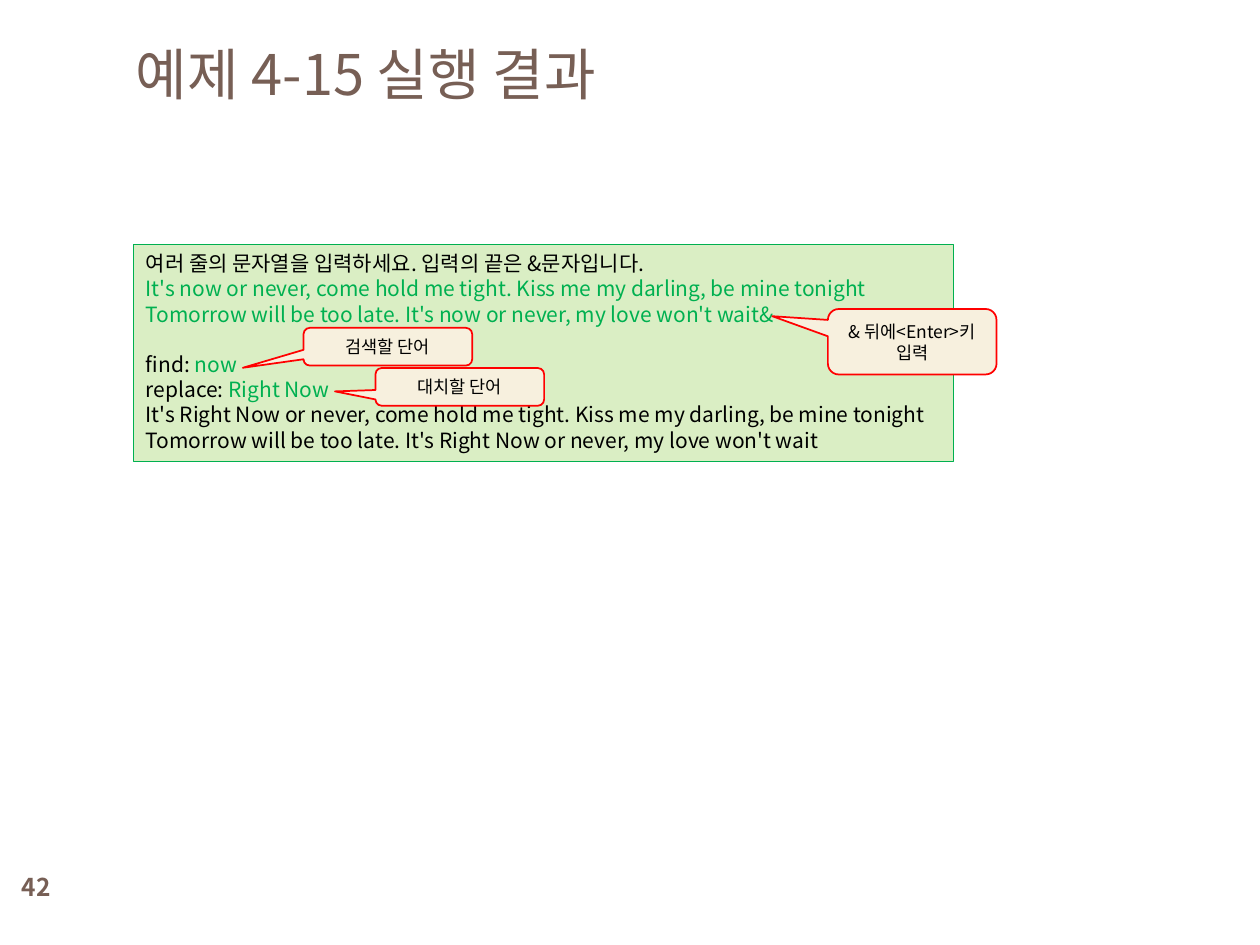
import pptx
import pptx.dml.color
import pptx.enum.shapes
import pptx.enum.text
import pptx.oxml.ns
import pptx.util
from lxml import etree

Cm, Pt = pptx.util.Cm, pptx.util.Pt
Align, Anchor = pptx.enum.text.PP_ALIGN, pptx.enum.text.MSO_ANCHOR
Kind = pptx.enum.shapes.MSO_SHAPE
FACE = "Noto Sans CJK KR"
HUES = {"brown": "775F55", "ink": "000000", "green": "00B050",
        "mint": "DAEEC4", "cream": "F7F0DE", "red": "FF0000"}
LINES = [
    [("여러 줄의 문자열을 입력하세요. 입력의 끝은 &문자입니다.", "ink")],
    [("It's now or never, come hold me tight. Kiss me my darling, be mine tonight", "green")],
    [("Tomorrow will be too late. It's now or never, my love won't wait&", "green")],
    [("find: ", "ink"), ("now", "green")],
    [("replace: ", "ink"), ("Right Now", "green")],
    [("It's Right Now or never, come hold me tight. Kiss me my darling, be mine tonight", "ink")],
    [("Tomorrow will be too late. It's Right Now or never, my love won't wait", "ink")],
]
GAP_LINE = 3
NOTES = [
    ("& 뒤에<Enter>키 입력", (14, 1.3, 3.4, 1.32), (-0.83, -0.39)),
    ("검색할 단어", (3.43, 1.68, 3.4, 0.76), (-0.86, 0.56)),
    ("대치할 단어", (4.88, 2.49, 3.4, 0.76), (-0.74, 0.12)),
]


def tint(hue):
    """Return the named colour."""
    return pptx.dml.color.RGBColor.from_string(HUES[hue])


def style(para, size, hue=None, bold=False, align=Align.LEFT):
    """Set the font and alignment of a paragraph."""
    para.alignment = align
    font = para.font
    font.size, font.bold, font.name = Pt(size), bold, FACE
    if hue:
        font.color.rgb = tint(hue)
    etree.SubElement(font._element, pptx.oxml.ns.qn("a:ea"), typeface=FACE)


def panel(slide, kind, box, fill, line, width):
    """Add a filled and outlined shape without a shadow."""
    shape = slide.shapes.add_shape(kind, *map(Cm, box))
    shape.shadow.inherit = False
    shape.fill.solid()
    shape.fill.fore_color.rgb = tint(fill)
    shape.line.color.rgb = tint(line)
    shape.line.width = Pt(width)
    shape.text_frame.word_wrap = True
    return shape


def label(slide, box, text, size, **looks):
    """Add a text box with one brown paragraph."""
    frame = slide.shapes.add_textbox(*map(Cm, box)).text_frame
    frame.word_wrap = True
    frame.vertical_anchor = Anchor.MIDDLE
    frame.text = text
    style(frame.paragraphs[0], size, "brown", **looks)


def note(slide, box, text, tip):
    """Add a callout that points at its tip."""
    shape = panel(slide, Kind.ROUNDED_RECTANGULAR_CALLOUT, box, "cream", "red", 1)
    shape.adjustments[0], shape.adjustments[1] = tip
    frame = shape.text_frame
    frame.vertical_anchor = Anchor.MIDDLE
    frame.text = text
    style(frame.paragraphs[0], 10, "ink", align=Align.CENTER)


def console(slide, box):
    """Add the program output and its callouts."""
    left, top = box[:2]
    frame = panel(slide, Kind.RECTANGLE, box, "mint", "green", 0.75).text_frame
    frame.vertical_anchor = Anchor.TOP
    for row, parts in enumerate(LINES):
        para = frame.add_paragraph() if row else frame.paragraphs[0]
        if row == GAP_LINE:
            para.space_before = Pt(14.4)
        same = len(parts) == 1
        style(para, 12, parts[0][1] if same else None)
        for text, hue in parts:
            run = para.add_run()
            run.text = text
            if not same:
                run.font.color.rgb = tint(hue)
    for text, (x, y, wide, high), tip in NOTES:
        note(slide, (left + x, top + y, wide, high), text, tip)


def main():
    """Build and save the slide."""
    deck = pptx.Presentation()
    deck.slide_width, deck.slide_height = Cm(25.4), Cm(19.05)
    slide = deck.slides.add_slide(deck.slide_layouts[6])
    label(slide, (0, 17.35, 1.47, 1.07), "42", 14, bold=True, align=Align.CENTER)
    console(slide, (2.69, 4.93, 16.54, 4.37))
    label(slide, (2.49, 0.53, 19.56, 1.88), "예제 4-15 실행 결과", 32)
    deck.save("out.pptx")


if __name__ == "__main__":
    main()
